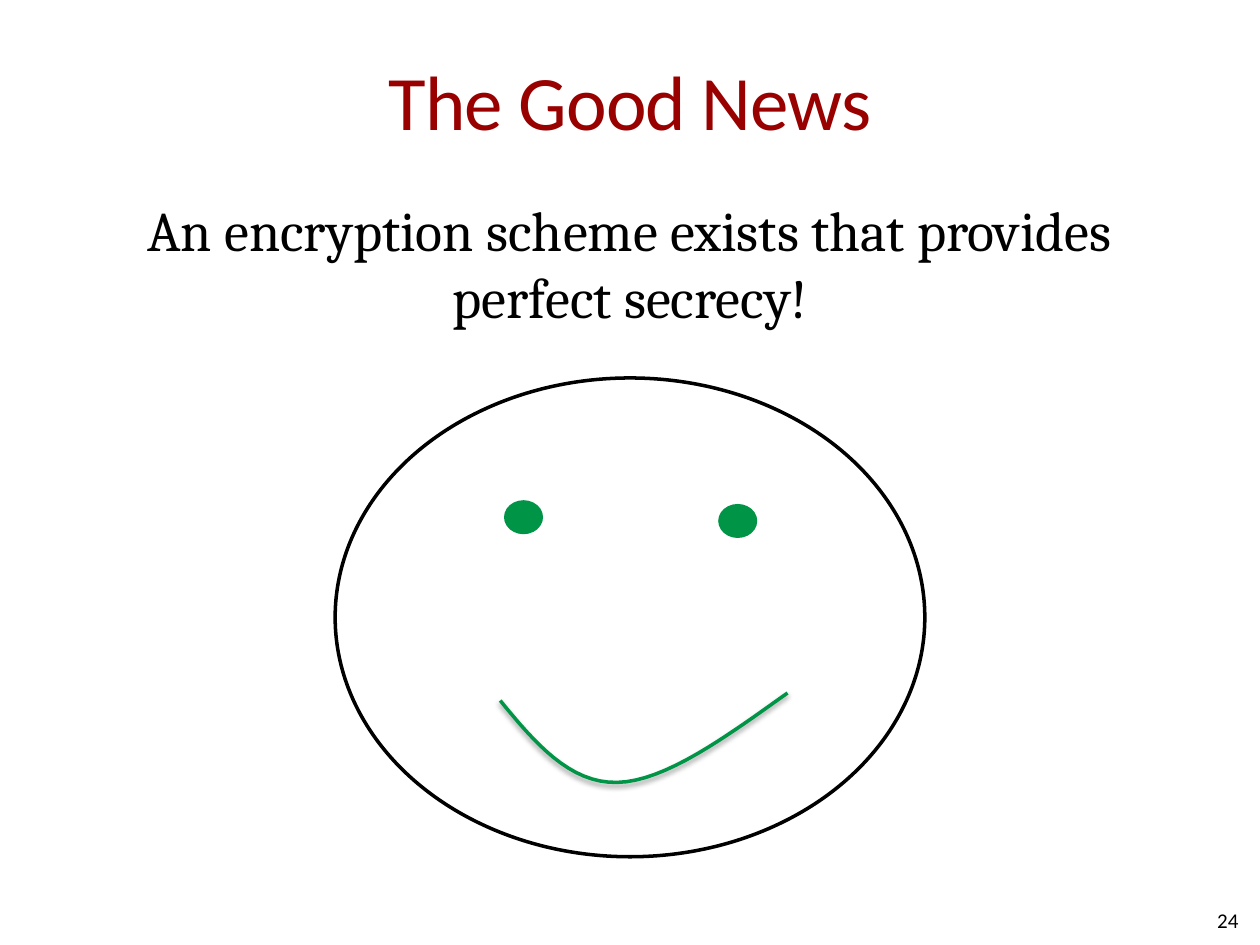
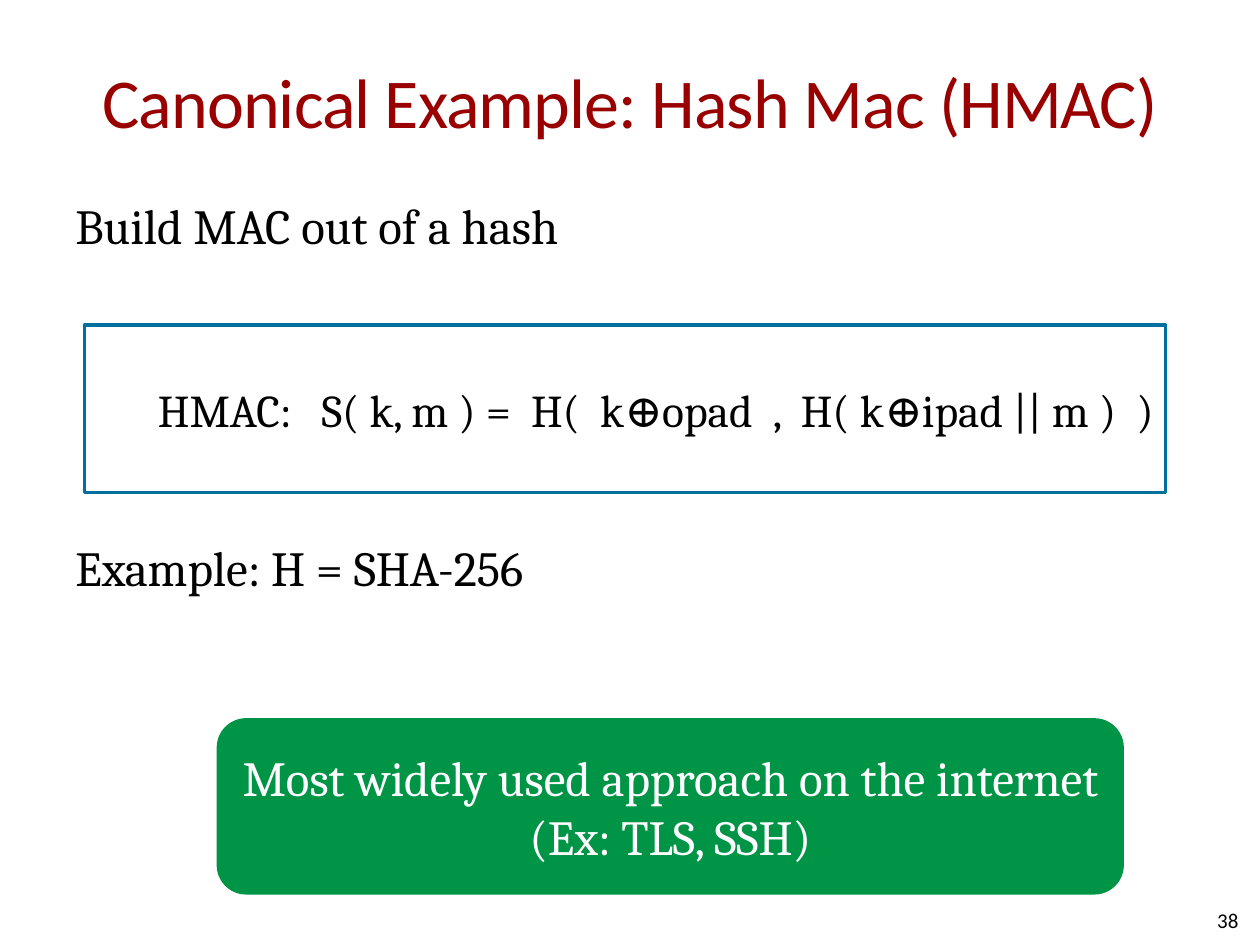
from lxml import etree
from pptx import Presentation
from pptx.dml.color import RGBColor
from pptx.enum.shapes import MSO_SHAPE
from pptx.enum.text import MSO_ANCHOR, MSO_AUTO_SIZE, PP_ALIGN
from pptx.oxml.ns import qn
from pptx.util import Inches, Pt

OVAL, RECTANGLE, ROUNDED = MSO_SHAPE.OVAL, MSO_SHAPE.RECTANGLE, MSO_SHAPE.ROUNDED_RECTANGLE
TOP, MIDDLE = MSO_ANCHOR.TOP, MSO_ANCHOR.MIDDLE
LEFT, CENTER, RIGHT = PP_ALIGN.LEFT, PP_ALIGN.CENTER, PP_ALIGN.RIGHT
NO_AUTOFIT = MSO_AUTO_SIZE.NONE

BLACK = RGBColor(0x00, 0x00, 0x00)
WHITE = RGBColor(0xFF, 0xFF, 0xFF)
RED = RGBColor(0x99, 0x00, 0x00)
GREEN = RGBColor(0x00, 0x94, 0x46)
BLUE = RGBColor(0x00, 0x70, 0x9E)
HEADING_FONT, BODY_FONT = "Calibri", "Cambria"

# Boxes are left, top, width, height in inches
TITLE_BOX = (0.5, 0.17, 9, 1.25)
BODY_BOX = (0.5, 1.5, 9, 5.2)
NUMBER_BOX = (7.5, 7.1, 2.33, 0.4)
FACE_BOX = (2.66, 3, 4.68, 3.8)
FORMULA_BOX = (0.67, 2.58, 8.58, 1.33)
CALLOUT_BOX = (1.72, 5.7, 7.2, 1.4)

LINE_WIDTH = Pt(2)
CURVE_STEPS = 16


def inches(box):
    return [Inches(value) for value in box]


def write(shape, lines, size, color=BLACK, name=BODY_FONT, align=LEFT,
          anchor=MIDDLE, margins=(0, 0), wrap=True, gap=0):
    """Fill a shape with paragraphs that share one format."""
    frame = shape.text_frame
    side, end = (Inches(value) for value in margins)
    settings = {"auto_size": NO_AUTOFIT, "word_wrap": wrap, "vertical_anchor": anchor,
                "margin_left": side, "margin_right": side,
                "margin_top": end, "margin_bottom": end}
    for key, value in settings.items():
        setattr(frame, key, value)
    frame.text = "\n".join(lines)
    for index, para in enumerate(frame.paragraphs):
        para.alignment = align
        para.space_before = Pt(gap if index else 0)
        for span in para.runs:
            for key, value in {"name": name, "size": Pt(size), "bold": False}.items():
                setattr(span.font, key, value)
            span.font.color.rgb = color


def add_block(shapes, kind, box, fill, line=None):
    """Add a flat preset shape, with an outline if a line colour is given."""
    block = shapes.add_shape(kind, *inches(box))
    block.shadow.inherit = False
    block.fill.solid()
    block.fill.fore_color.rgb = fill
    if line is None:
        block.line.fill.background()
    else:
        block.line.color.rgb = line
        block.line.width = LINE_WIDTH
    return block


def add_page(deck, title, title_size, number):
    """Start a page with its title and page number."""
    page = deck.slides.add_slide(deck.slide_layouts[5])
    heading = page.shapes.title
    heading.left, heading.top, heading.width, heading.height = inches(TITLE_BOX)
    write(heading, [title], title_size, RED, HEADING_FONT, CENTER, margins=(0, 0.05))
    for span in heading.text_frame.paragraphs[0].runs:
        span.font._element.set("spc", "-50")

    footer = page.shapes.add_textbox(*inches(NUMBER_BOX))
    write(footer, [str(number)], 12, name=HEADING_FONT, align=RIGHT)
    return page


def add_body(page, lines, size, **options):
    body = page.shapes.add_textbox(*inches(BODY_BOX))
    write(body, lines, size, anchor=TOP, margins=(0.1, 0.05), **options)


def bezier(start, first, second, end):
    """Points along a cubic curve, without its start."""
    for step in range(1, CURVE_STEPS + 1):
        t = step / CURVE_STEPS
        weights = ((1 - t) ** 3, 3 * t * (1 - t) ** 2, 3 * t ** 2 * (1 - t), t ** 3)
        yield tuple(sum(weight * point[axis] for weight, point
                        in zip(weights, (start, first, second, end))) for axis in (0, 1))


def add_soft_shadow(shape):
    shape.shadow.inherit = False
    effects = shape._element.spPr.find(qn("a:effectLst"))
    shadow = etree.SubElement(effects, qn("a:outerShdw"), blurRad="40000",
                              dist="20000", dir="5400000", rotWithShape="0")
    color = etree.SubElement(shadow, qn("a:srgbClr"), val=str(BLACK))
    etree.SubElement(color, qn("a:alpha"), val="38000")


def add_face(page, box):
    """Draw a smiling face; its parts are offset from the corner of the box."""
    left, top, _, _ = box
    face = page.shapes.add_group_shape().shapes
    add_block(face, OVAL, box, WHITE, BLACK)

    # Eyes
    for across, down in ((1.34, 0.97), (3.04, 1)):
        add_block(face, OVAL, (left + across, top + down, 0.31, 0.27), GREEN)

    # Smile: two curves that meet at its lowest part
    corner, low, tip = (1.31, 2.56), (2.24, 3.21), (3.59, 2.5)
    points = [corner,
              *bezier(corner, (1.58, 2.89), (1.86, 3.22), low),
              *bezier(low, (2.62, 3.2), (3.1, 2.85), tip)]
    start, *rest = [(Inches(left + x), Inches(top + y)) for x, y in points]
    builder = face.build_freeform(*start)
    builder.add_line_segments(rest, close=False)
    smile = builder.convert_to_shape()
    smile.fill.background()
    smile.line.color.rgb = GREEN
    smile.line.width = LINE_WIDTH
    add_soft_shadow(smile)


def add_formula(page, box):
    formula = add_block(page.shapes, RECTANGLE, box, WHITE, BLUE)
    write(formula, ["HMAC:   S( k, m ) =  H(  k⊕opad  ,  H( k⊕ipad || m )  )"], 26,
          align=CENTER, wrap=False)
    properties = formula.text_frame.paragraphs[0]._p.get_or_add_pPr()
    properties.set("marL", str(Inches(0.5)))
    properties.set("indent", "0")


def add_callout(page, box):
    callout = add_block(page.shapes, ROUNDED, box, GREEN)
    write(callout, ["Most widely used approach on the internet", "(Ex: TLS, SSH)"], 28,
          WHITE, align=CENTER)


def build_good_news(deck):
    page = add_page(deck, "The Good News", 44, 24)
    add_body(page, ["An encryption scheme exists that provides perfect secrecy!"], 32,
             align=CENTER)
    add_face(page, FACE_BOX)


def build_hmac(deck):
    page = add_page(deck, "Canonical Example: Hash Mac (HMAC)", 40, 38)
    # The gap leaves room for the formula between the two lines
    add_body(page, ["Build MAC out of a hash", "Example: H = SHA-256"], 28, gap=162)
    add_formula(page, FORMULA_BOX)
    add_callout(page, CALLOUT_BOX)


def main():
    deck = Presentation()
    deck.slide_width, deck.slide_height = Inches(10), Inches(7.5)
    build_good_news(deck)
    build_hmac(deck)
    deck.save("out.pptx")


if __name__ == "__main__":
    main()
